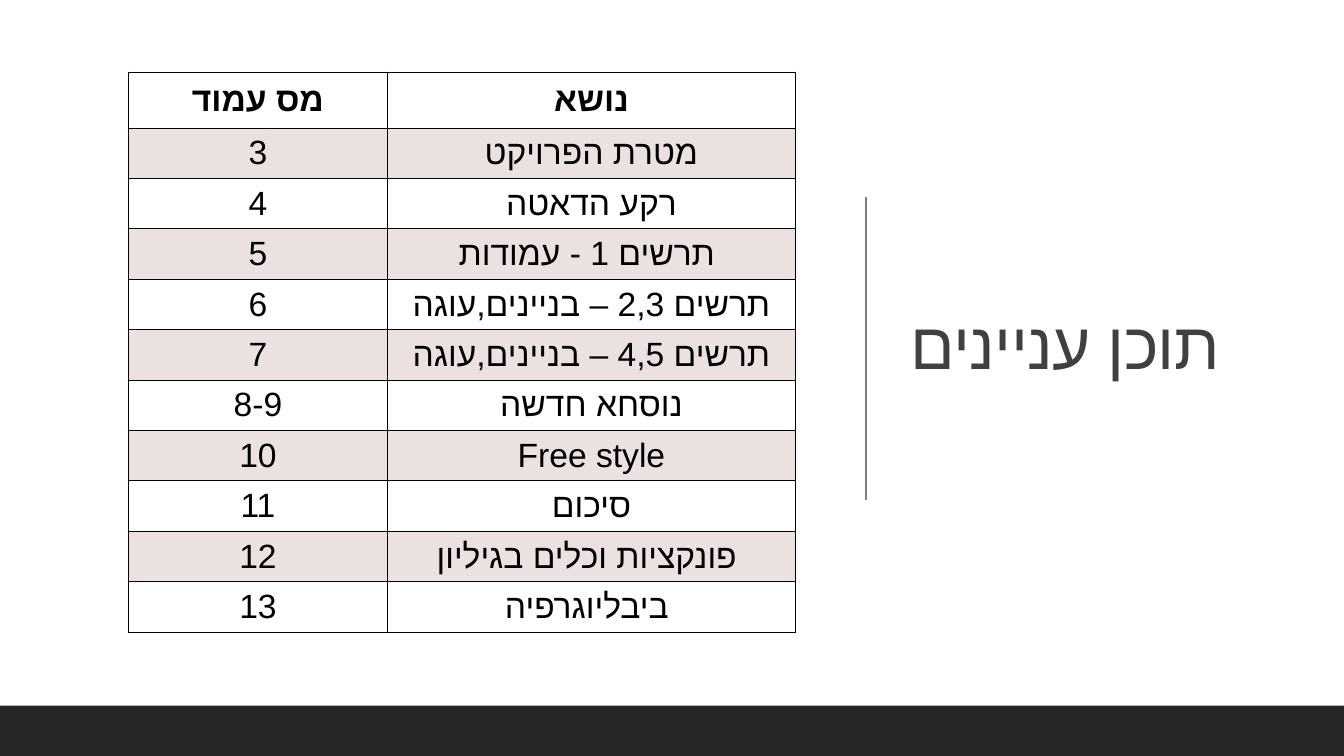
from typing import NamedTuple

from lxml import etree
from pptx import Presentation
from pptx.dml.color import RGBColor
from pptx.enum.shapes import MSO_CONNECTOR, MSO_SHAPE
from pptx.enum.text import MSO_ANCHOR, MSO_AUTO_SIZE, PP_ALIGN
from pptx.oxml.ns import qn
from pptx.util import Pt

STRAIGHT = MSO_CONNECTOR.STRAIGHT
RECTANGLE = MSO_SHAPE.RECTANGLE
MIDDLE = MSO_ANCHOR.MIDDLE
NO_AUTOFIT = MSO_AUTO_SIZE.NONE
LEFT, CENTER = PP_ALIGN.LEFT, PP_ALIGN.CENTER

SLIDE_WIDTH, SLIDE_HEIGHT = 960, 540
FOOTER_HEIGHT = 36
FONT = "Arial"
BLACK, DARK, GREY, TITLE_GREY, BAND = "000000", "262626", "808080", "404040", "9C6A6A"
BAND_OPACITY = 20
COLUMN_WIDTHS = (185.5, 291)
HEADER_HEIGHT, ROW_HEIGHT = 40, 36


class Entry(NamedTuple):
    page: str
    topic: str


HEADER = Entry("מס עמוד", "נושא")
ENTRIES = [
    Entry("3", "מטרת הפרויקט"),
    Entry("4", "רקע הדאטה"),
    Entry("5", "תרשים 1 - עמודות "),
    Entry("6", "תרשים 2,3 – בניינים,עוגה"),
    Entry("7", "תרשים 4,5 – בניינים,עוגה"),
    Entry("8-9", "נוסחא חדשה"),
    Entry("10", "Free style"),
    Entry("11", "סיכום"),
    Entry("12", "פונקציות וכלים בגיליון "),
    Entry("13", "ביבליוגרפיה "),
]


def rgb(color: str) -> RGBColor:
    return RGBColor.from_string(color)


def style_paragraph(paragraph, size: float, color: str, align, bold: bool = False) -> None:
    paragraph.alignment = align
    font = paragraph.font
    font.name, font.size, font.bold = FONT, Pt(size), bold
    font.color.rgb = rgb(color)
    # Hebrew takes its typeface from the complex-script slot.
    defaults = paragraph._p.pPr.find(qn("a:defRPr"))
    etree.SubElement(defaults, qn("a:cs"), typeface=FONT)


def border_cell(cell, color: str, width: float) -> None:
    properties = cell._tc.get_or_add_tcPr()
    for position, side in enumerate(("lnL", "lnR", "lnT", "lnB")):
        line = etree.Element(qn(f"a:{side}"), w=str(Pt(width)))
        solid = etree.SubElement(line, qn("a:solidFill"))
        etree.SubElement(solid, qn("a:srgbClr"), val=color)
        properties.insert(position, line)


def fill_cell(cell, banded: bool) -> None:
    if not banded:
        cell.fill.background()
        return
    cell.fill.solid()
    cell.fill.fore_color.rgb = rgb(BAND)
    tint = cell._tc.tcPr.find(".//" + qn("a:srgbClr"))
    etree.SubElement(tint, qn("a:alpha"), val=str(BAND_OPACITY * 1000))


def add_contents_table(slide) -> None:
    rows = [HEADER, *ENTRIES]
    height = HEADER_HEIGHT + ROW_HEIGHT * len(ENTRIES)
    contents = slide.shapes.add_table(
        len(rows), len(COLUMN_WIDTHS), Pt(91.5), Pt(51.5), Pt(sum(COLUMN_WIDTHS)), Pt(height)
    ).table
    contents.horz_banding = False
    for column, width in zip(contents.columns, COLUMN_WIDTHS):
        column.width = Pt(width)
    for index, entry in enumerate(rows):
        is_header = index == 0
        contents.rows[index].height = Pt(HEADER_HEIGHT if is_header else ROW_HEIGHT)
        for cell, text in zip(contents.rows[index].cells, entry):
            cell.text = text
            cell.vertical_anchor = MIDDLE
            style_paragraph(cell.text_frame.paragraphs[0], 24, BLACK, CENTER, is_header)
            fill_cell(cell, banded=index % 2 == 1)
            border_cell(cell, BLACK, 1)


def add_title(slide) -> None:
    title = slide.shapes.title
    title.left, title.top, title.width, title.height = Pt(643.5), Pt(49.5), Pt(266), Pt(398)
    frame = title.text_frame
    frame.text = "תוכן עניינים"
    frame.word_wrap = True
    frame.auto_size = NO_AUTOFIT
    frame.vertical_anchor = MIDDLE
    heading = frame.paragraphs[0]
    heading.line_spacing = 0.9
    style_paragraph(heading, 47, TITLE_GREY, LEFT)
    heading.runs[0]._r.get_or_add_rPr().set("spc", "-50")


def add_divider(slide) -> None:
    divider = slide.shapes.add_connector(STRAIGHT, Pt(618.5), Pt(141), Pt(618.5), Pt(357))
    divider.line.color.rgb = rgb(GREY)
    divider.line.width = Pt(1)
    etree.SubElement(divider._element.spPr, qn("a:effectLst"))


def add_footer_bar(slide) -> None:
    bar = slide.shapes.add_shape(
        RECTANGLE, 0, Pt(SLIDE_HEIGHT - FOOTER_HEIGHT), Pt(SLIDE_WIDTH), Pt(FOOTER_HEIGHT)
    )
    bar.shadow.inherit = False
    bar.fill.solid()
    bar.fill.fore_color.rgb = rgb(DARK)
    bar.line.fill.background()


def main() -> None:
    presentation = Presentation()
    presentation.slide_width, presentation.slide_height = Pt(SLIDE_WIDTH), Pt(SLIDE_HEIGHT)
    title_only = presentation.slide_layouts[5]
    slide = presentation.slides.add_slide(title_only)
    add_title(slide)
    add_divider(slide)
    add_footer_bar(slide)
    add_contents_table(slide)
    presentation.save("out.pptx")


if __name__ == "__main__":
    main()
